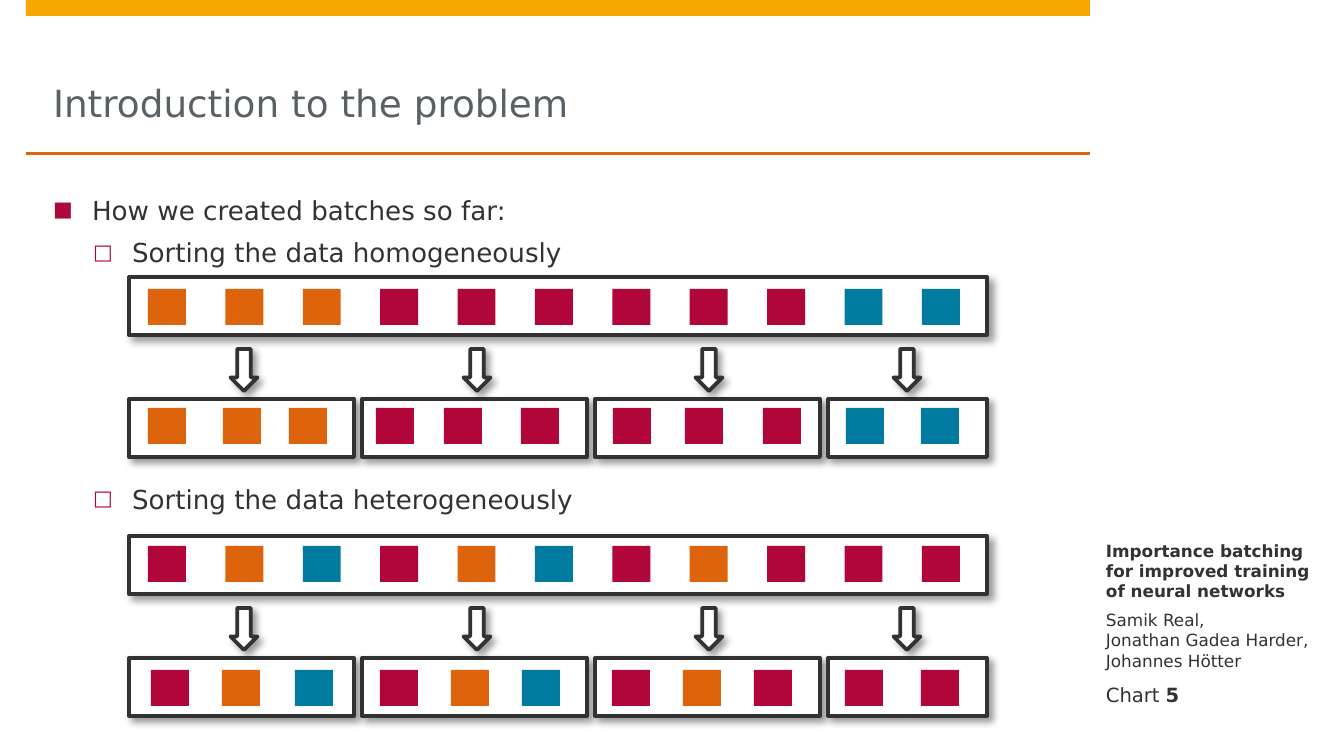
from lxml import etree
from pptx import Presentation
from pptx.dml.color import RGBColor
from pptx.enum.shapes import MSO_SHAPE
from pptx.enum.text import MSO_ANCHOR
from pptx.oxml import parse_xml
from pptx.oxml.ns import qn
from pptx.util import Emu, Pt

RECT, ARROW = MSO_SHAPE.RECTANGLE, MSO_SHAPE.DOWN_ARROW
TOP, BOTTOM = MSO_ANCHOR.TOP, MSO_ANCHOR.BOTTOM
WHITE = RGBColor(0xFF, 0xFF, 0xFF)
DARK = RGBColor(0x32, 0x32, 0x32)
GREY = RGBColor(0x5A, 0x61, 0x66)
YELLOW = RGBColor(0xF6, 0xA8, 0x00)
ORANGE = RGBColor(0xDD, 0x64, 0x0C)
RED = RGBColor(0xB1, 0x06, 0x3A)
BLUE = RGBColor(0x00, 0x7A, 0x9E)
COLORS = {"O": ORANGE, "R": RED, "B": BLUE}
FONT = "DejaVu Sans"
PX = 914400 / 134.4

SHADOW = (
    '<a:effectLst xmlns:a="http://schemas.openxmlformats.org/drawingml/2006/main">'
    '<a:outerShdw blurRad="50800" dist="38100" dir="2700000" algn="tl" rotWithShape="0">'
    '<a:srgbClr val="000000"><a:alpha val="40000"/></a:srgbClr>'
    '</a:outerShdw></a:effectLst>'
)

BARS = [(26, 0, 1064, 16, YELLOW), (26, 152, 1064, 3, ORANGE)]
BULLETS = ["■", "□"]
SIDE_TITLE = "Importance batching for improved training of neural networks"
AUTHORS = ["Samik Real,", "Jonathan Gadea Harder,", "Johannes Hötter"]

DIAGRAMS = [
    {"top": 277, "items": "OOORRRRRRBB", "item_top": 289,
     "batch_top": 399, "batch_item_top": 408,
     "batch_lefts": (148, 223, 289, 376, 444, 521, 613, 685, 763, 846, 921)},
    {"top": 536, "items": "ROBROBRORRR", "item_top": 546,
     "batch_top": 658, "batch_item_top": 670,
     "batch_lefts": (151, 222, 295, 380, 451, 522, 612, 683, 754, 845, 921)},
]
BOX_LEFT, BOX_W, BOX_H = 129, 858, 58
BATCH_W, BATCH_PITCH, BATCHES = 225, 233, 4
ARROW_CENTERS = (244, 477, 709, 907)
ARROW_W, ARROW_H, ARROW_DROP = 27, 42, 72
ITEM_W, ITEM_H, ITEM_LEFT, ITEM_PITCH = 38, 36, 148, 77.4


def px(n):
    """Turn px into EMU."""
    return Emu(round(n * PX))


def add_shape(s, kind, x, y, w, h, fill, outlined=False):
    """Add a filled shape, with a dark outline and a shadow if outlined."""
    sp = s.shapes.add_shape(kind, px(x), px(y), px(w), px(h))
    sp.shadow.inherit = False
    sp.fill.solid()
    sp.fill.fore_color.rgb = fill
    if outlined:
        sp.line.color.rgb = DARK
        sp.line.width = Pt(2)
        pr = sp._element.spPr
        pr.replace(pr.find(qn("a:effectLst")), parse_xml(SHADOW))
    else:
        sp.line.fill.background()


def add_bullet(p, level):
    """Give a paragraph the bullet and indent of its level."""
    p.level = level
    pr = p._p.get_or_add_pPr()
    pr.set("marL", str(px(39 + 40 * level)))
    pr.set("indent", str(px(-39)))
    color = etree.SubElement(pr, qn("a:buClr"))
    etree.SubElement(color, qn("a:srgbClr"), val=str(RED))
    etree.SubElement(pr, qn("a:buSzPct"), val="80000")
    etree.SubElement(pr, qn("a:buFont"), typeface=FONT)
    etree.SubElement(pr, qn("a:buChar"), char=BULLETS[level])


def add_text(s, box, paragraphs, size, color=DARK, bold=False, anchor=TOP,
             inset=(0, 0, 0, 0), levels=None):
    """Add a text box; a paragraph is a string or a list of (text, bold) runs."""
    tf = s.shapes.add_textbox(*map(px, box)).text_frame
    tf.word_wrap = True
    tf.vertical_anchor = anchor
    tf.margin_left, tf.margin_top, tf.margin_right, tf.margin_bottom = map(px, inset)
    for i, runs in enumerate(paragraphs):
        p = tf.paragraphs[0] if i == 0 else tf.add_paragraph()
        if levels:
            add_bullet(p, levels[i])
            p.space_after = Pt(3)
            if i:
                p.space_before = Pt(3)
        for text, strong in [(runs, bold)] if isinstance(runs, str) else runs:
            r = p.add_run()
            r.text = text
            r.font.name = FONT
            r.font.size = Pt(size)
            r.font.bold = strong
            r.font.color.rgb = color


def add_items(s, items, lefts, top):
    """Add one coloured square per data item."""
    for item, left in zip(items, lefts):
        add_shape(s, RECT, left, top, ITEM_W, ITEM_H, COLORS[item])


def add_diagram(s, d):
    """Add the sorted data, the arrows and the batches below."""
    add_shape(s, RECT, BOX_LEFT, d["top"], BOX_W, BOX_H, WHITE, outlined=True)
    row = [ITEM_LEFT + ITEM_PITCH * i for i in range(len(d["items"]))]
    add_items(s, d["items"], row, d["item_top"])
    for i in range(BATCHES):
        left = BOX_LEFT + BATCH_PITCH * i
        width = min(BATCH_W, BOX_LEFT + BOX_W - left)
        add_shape(s, RECT, left, d["batch_top"], width, BOX_H, WHITE, outlined=True)
    for center in ARROW_CENTERS:
        add_shape(s, ARROW, center - ARROW_W / 2, d["top"] + ARROW_DROP,
                  ARROW_W, ARROW_H, WHITE, outlined=True)
    add_items(s, d["items"], d["batch_lefts"], d["batch_item_top"])


def main():
    """Build the slide."""
    prs = Presentation()
    prs.slide_width, prs.slide_height = px(1344), px(756)
    s = prs.slides.add_slide(prs.slide_layouts[6])
    for *box, fill in BARS:
        add_shape(s, RECT, *box, fill)
    add_text(s, (53, 16, 1011, 136), ["Introduction to the problem"], 20,
             color=GREY, anchor=BOTTOM, inset=(0, 0, 0, 27))
    add_text(s, (53, 183, 1011, 93),
             ["How we created batches so far:", "Sorting the data homogeneously"],
             14, inset=(0, 11, 0, 0), levels=(0, 1))
    add_text(s, (53, 472, 1011, 52), ["Sorting the data heterogeneously"],
             14, inset=(0, 11, 0, 0), levels=(1,))
    side = (16, 0, 0, 0)
    add_text(s, (1090, 524, 227, 77), [SIDE_TITLE], 9, bold=True,
             anchor=BOTTOM, inset=side)
    add_text(s, (1090, 610, 227, 69), AUTHORS, 9, inset=side)
    add_text(s, (1090, 680, 227, 27), [[("Chart ", False), ("5", True)]], 10.5,
             anchor=BOTTOM, inset=side)
    for d in DIAGRAMS:
        add_diagram(s, d)
    prs.save("out.pptx")


if __name__ == "__main__":
    main()
